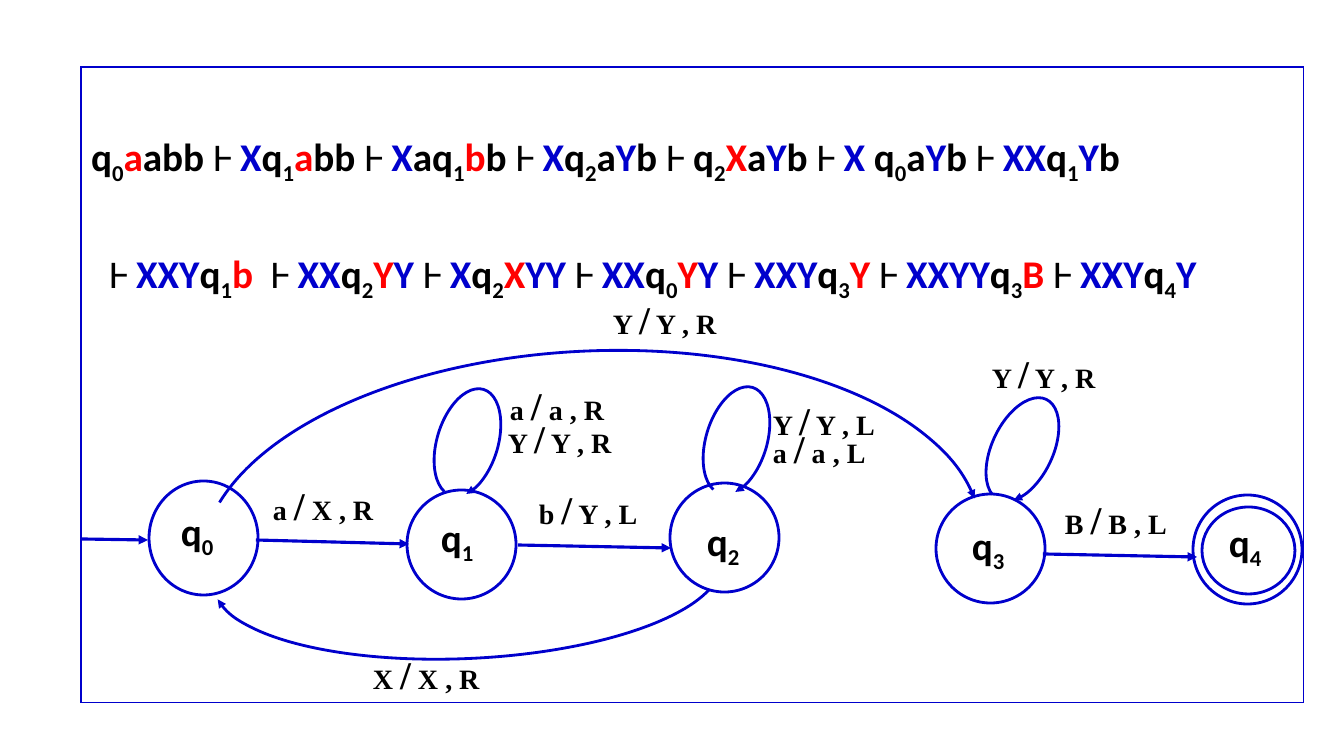
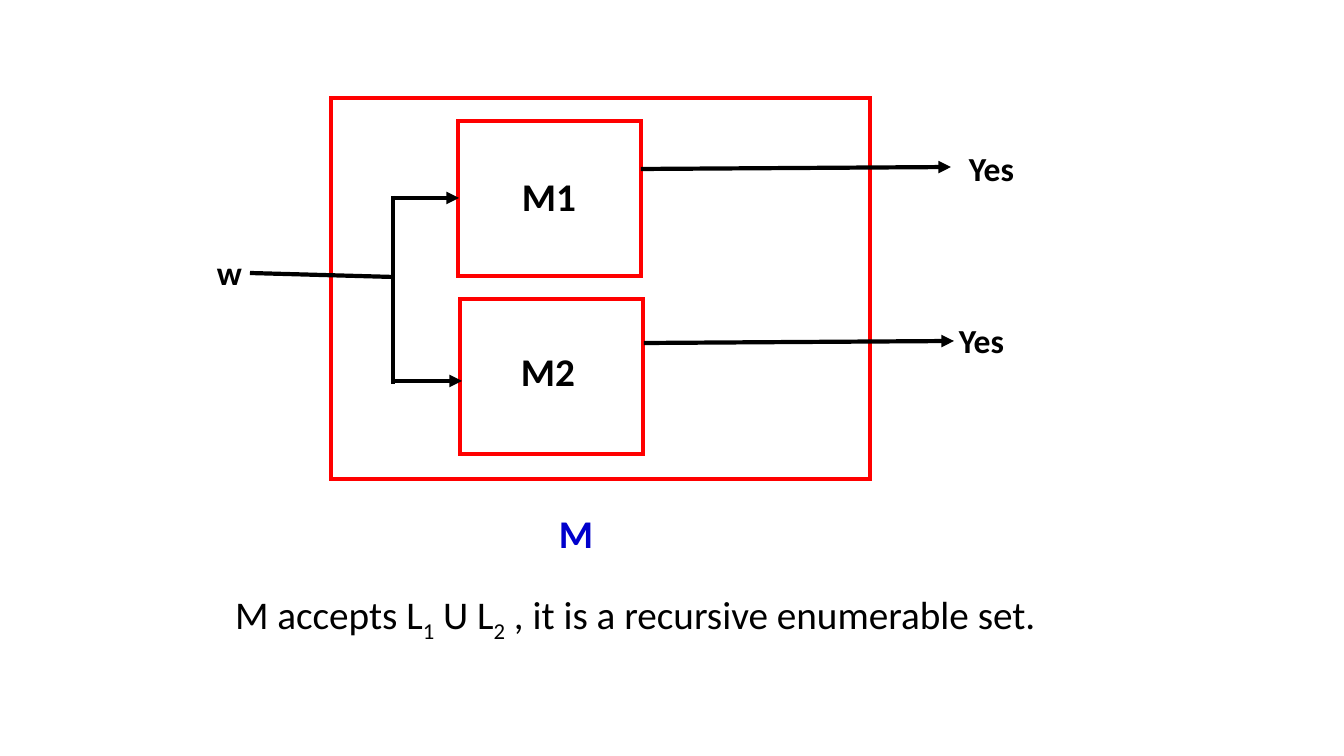
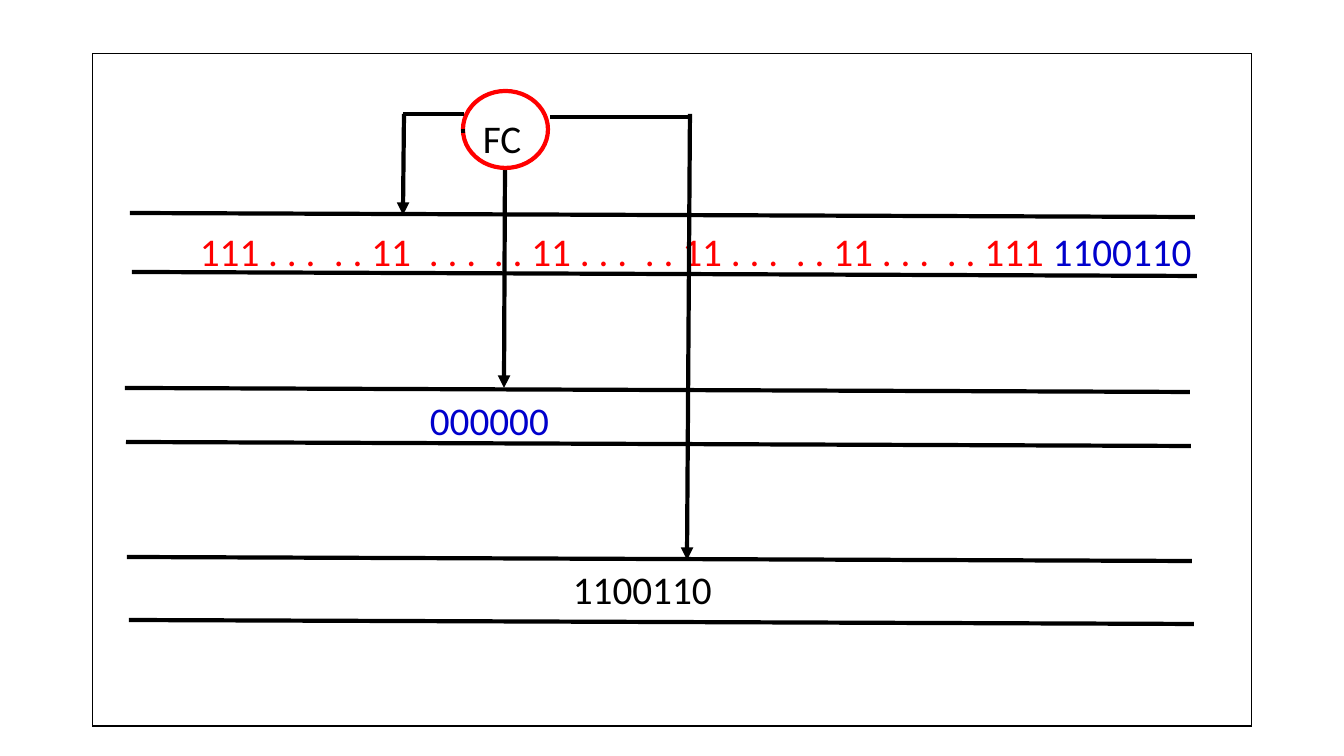
from functools import partial
from itertools import groupby

from lxml import etree
from pptx import Presentation
from pptx.dml.color import RGBColor
from pptx.enum import shapes, text
from pptx.oxml.ns import qn
from pptx.util import Inches, Pt

BLACK = RGBColor(0x00, 0x00, 0x00)
BLUE = RGBColor(0x00, 0x00, 0xCC)
RED = RGBColor(0xFF, 0x00, 0x00)
SANS, SERIF = "Calibri", "Times New Roman"
TITLE_AND_CONTENT, BLANK = 1, 6
RECTANGLE = shapes.MSO_SHAPE.RECTANGLE
OVAL = shapes.MSO_SHAPE.OVAL
ARC = shapes.MSO_SHAPE.ARC
SPACE_WIDENING = {"<": -320, ">": 630}  # hundredths of a point


def px(length):
    return round(length * Inches(1) / 100.8)


def write_runs(paragraph, runs, **shared):
    """Add (text, format) runs; each format overrides the shared values."""
    for words, own in runs:
        run = paragraph.add_run()
        run.text = words
        look = {"name": SANS, "size": 28, "bold": False, "color": BLACK, **shared, **own}
        run.font.color.rgb = look.pop("color")
        look["size"] = Pt(look["size"])
        if look.pop("sub", False):
            run.font._element.set("baseline", "-25000")
        widening = look.pop("widening", 0)
        if widening:
            run.font._element.set("spc", str(widening))
        for attribute, value in look.items():
            setattr(run.font, attribute, value)


def set_tabs(paragraph, stops):
    tabs = etree.SubElement(paragraph._p.get_or_add_pPr(), qn("a:tabLst"))
    for stop in stops:
        etree.SubElement(tabs, qn("a:tab"), pos=str(px(stop)), algn="l")


def label(slide, left, top, runs, width=137, tabs=(), **shared):
    """Place one line of text, given as a string or as runs."""
    box = slide.shapes.add_textbox(px(left), px(top), px(width), px(58))
    box.text_frame.word_wrap = True
    paragraph = box.text_frame.paragraphs[0]
    if tabs:
        set_tabs(paragraph, tabs)
    if isinstance(runs, str):
        runs = [(runs, {})]
    write_runs(paragraph, runs, **shared)


def body(slide, left, top, width, height, lines, inset=5, gap=0):
    """Fill the body placeholder with unbulleted (indent, runs) lines; drop the title."""
    title = slide.shapes.title._element
    title.getparent().remove(title)
    holder = slide.placeholders[1]
    holder.left, holder.top, holder.width, holder.height = map(px, (left, top, width, height))
    frame = holder.text_frame
    frame.auto_size = text.MSO_AUTO_SIZE.NONE
    frame.vertical_anchor = text.MSO_ANCHOR.TOP
    frame.margin_top = px(inset)
    for number, (indent, runs) in enumerate(lines):
        paragraph = frame.add_paragraph() if number else frame.paragraphs[0]
        properties = paragraph._p.get_or_add_pPr()
        properties.set("marL", str(px(indent)))
        properties.set("indent", "0")
        etree.SubElement(properties, qn("a:buNone"))
        paragraph.line_spacing = 0.9
        paragraph.space_before = Pt(gap if number else 0)
        write_runs(paragraph, runs)
    return holder


def draw_line(item, color, weight, arrow=False):
    item.line.color.rgb = color
    item.line.width = Pt(weight)
    outline = item._element.spPr.find(qn("a:ln"))
    etree.SubElement(outline, qn("a:miter"), lim="800000")
    if arrow:
        etree.SubElement(outline, qn("a:tailEnd"), type="triangle")


def outline_shape(slide, kind, left, top, width, height, color, weight, arrow=False):
    item = slide.shapes.add_shape(kind, *map(px, (left, top, width, height)))
    item.shadow.inherit = False
    item.fill.background()
    draw_line(item, color, weight, arrow)
    return item


def line(slide, x1, y1, x2, y2, color=BLACK, weight=3, arrow=False):
    item = slide.shapes.add_connector(
        shapes.MSO_CONNECTOR.STRAIGHT, *map(px, (x1, y1, x2, y2)))
    draw_line(item, color, weight, arrow)
    etree.SubElement(item._element.spPr, qn("a:effectLst"))


def arc_arrow(slide, left, top, width, height, turn, start, end):
    """Draw a clockwise arc arrow; turn, start and end are degrees."""
    arc = outline_shape(slide, ARC, left, top, width, height, BLUE, 2, arrow=True)
    arc.rotation = turn
    for index, angle in enumerate((start, end)):
        arc.adjustments[index] = angle * 60000 / 100000


def derivation_runs(steps):
    """Style machine steps: * marks a red symbol, q's digit is a subscript.

    < and > stand for a narrow and a wide space.
    """
    styled = []
    previous = ""
    for symbol in steps:
        if symbol != "*":
            color = RED if previous == "*" else BLUE if symbol in "XY" else BLACK
            widening = SPACE_WIDENING.get(symbol, 0)
            styled.append((" " if widening else symbol,
                           (color, symbol != "Ⱶ", previous == "q", widening)))
        previous = symbol
    return [("".join(symbol for symbol, _ in group),
             dict(zip(("color", "bold", "sub", "widening"), style)))
            for style, group in groupby(styled, key=lambda pair: pair[1])]


def transition(slide, left, top, read, write, move):
    label(slide, left, top,
          [(f"{read} ", {}), ("/", {"size": 28}), (f" {write} , {move}", {})],
          name=SERIF, size=20, bold=True)


def turing_machine_slide(slide):
    steps = [
        (0, "q0*aabb Ⱶ Xq1*abb<Ⱶ Xaq1*bb Ⱶ Xq2aYb Ⱶ q2*XaYb Ⱶ X q0aYb Ⱶ XXq1Yb"),
        (18, "Ⱶ XXYq1*b>Ⱶ XXq2*YY Ⱶ Xq2*XYY Ⱶ XXq0*YY Ⱶ XXYq3*Y Ⱶ XXYYq3*B Ⱶ XXYq4Y"),
    ]
    frame = body(slide, 81, 67, 1223, 636,
                 [(indent, derivation_runs(step)) for indent, step in steps],
                 inset=66, gap=49.5)
    draw_line(frame, BLUE, 0.75)

    states = [(149, 481, 114, 171, 502), (407, 490, 109, 431, 508), (670, 483, 109, 697, 512),
              (936, 494, 109, 962, 516), (1193, 495, 109, 1219, 513)]
    for number, (left, top, height, name_left, name_top) in enumerate(states):
        outline_shape(slide, OVAL, left, top, 109, height, BLUE, 2)
        label(slide, name_left, name_top, [("q", {}), (str(number), {"sub": True})],
              width=67, bold=True)
    outline_shape(slide, OVAL, 1202, 507, 93, 87, BLUE, 2)

    for ends in [(81, 539, 148, 540), (256, 540, 409, 544),
                 (518, 545, 671, 548), (1043, 554, 1197, 557)]:
        line(slide, *ends, color=BLUE, weight=2.25, arrow=True)
    for left, top, turn in [(412, 412, 286.9), (681, 410, 286.9), (967, 419, 295.4)]:
        arc_arrow(slide, left, top, 111, 61, turn, 188.4, 164.4)
    arc_arrow(slide, 383, 320, 169, 508, 87.3, 276.5, 86.9)
    arc_arrow(slide, 393, 159, 397, 781, 267.3, 279.9, 85.1)

    for left, top, *rule in [
        (263, 476, "a", "X", "R"), (500, 376, "a", "a", "R"), (498, 409, "Y", "Y", "R"),
        (529, 480, "b", "Y", "L"), (763, 391, "Y", "Y", "L"), (763, 419, "a", "a", "L"),
        (363, 645, "X", "X", "R"), (603, 290, "Y", "Y", "R"), (982, 344, "Y", "Y", "R"),
        (1055, 490, "B", "B", "L"),
    ]:
        transition(slide, left, top, *rule)


def union_slide(slide):
    sub = {"sub": True}
    body(slide, 225, 586, 940, 58, [(0, [
        ("M accepts L", {}), ("1", sub), (" U L", {}), ("2", sub),
        (" , it is a recursive enumerable set.", {})])])
    for box in [(331, 98, 539, 381), (458, 121, 183, 155), (460, 299, 183, 155)]:
        outline_shape(slide, RECTANGLE, *box, RED, 3)

    for ends in [(641, 169, 951, 167), (392, 198, 459, 198),
                 (395, 381, 462, 381), (644, 343, 954, 341)]:
        line(slide, *ends, arrow=True)
    for ends in [(250, 273, 393, 277), (393, 196, 393, 384)]:
        line(slide, *ends)

    bold_label = partial(label, slide, bold=True)
    for left, top, words in [(512, 167, "M1"), (511, 342, "M2")]:
        bold_label(left, top, words)
    bold_label(549, 504, "M", color=BLUE)
    for left, top, words in [(207, 247, "w"), (959, 143, "Yes"), (949, 315, "Yes")]:
        bold_label(left, top, words, size=24)


def tapes_slide(slide):
    outline_shape(slide, RECTANGLE, 93, 53, 1159, 673, BLACK, 0.75)
    label(slide, 473, 109, "FC")
    middle = "\t. . 11 . . ." * 3
    label(slide, 190, 222,
          [(f"111 . . .\t. . 11\t. . .{middle}\t. . 111 ", {"color": RED}),
           ("1100110", {"color": BLUE})],
          width=1040, tabs=(134, 229, 294, 445, 596, 747))
    label(slide, 420, 391, "000000", width=160, color=BLUE)
    label(slide, 563, 560, "1100110", width=180)

    for left, top in [(130, 213), (132, 272), (125, 388), (126, 442), (127, 557), (129, 620)]:
        line(slide, left, top, left + 1065, top + 4)
    for ends in [(404, 114, 403, 215), (505, 167, 504, 388), (690, 114, 687, 560)]:
        line(slide, *ends, arrow=True)
    outline_shape(slide, OVAL, 463, 91, 85, 77, RED, 3)
    for ends in [(463, 129, 463, 133), (403, 114, 464, 114), (550, 117, 692, 117)]:
        line(slide, *ends)


def main():
    deck = Presentation()
    deck.slide_width, deck.slide_height = px(1344), px(756)
    for build, layout in [(turing_machine_slide, TITLE_AND_CONTENT),
                          (union_slide, TITLE_AND_CONTENT), (tapes_slide, BLANK)]:
        build(deck.slides.add_slide(deck.slide_layouts[layout]))
    deck.save("out.pptx")


if __name__ == "__main__":
    main()
